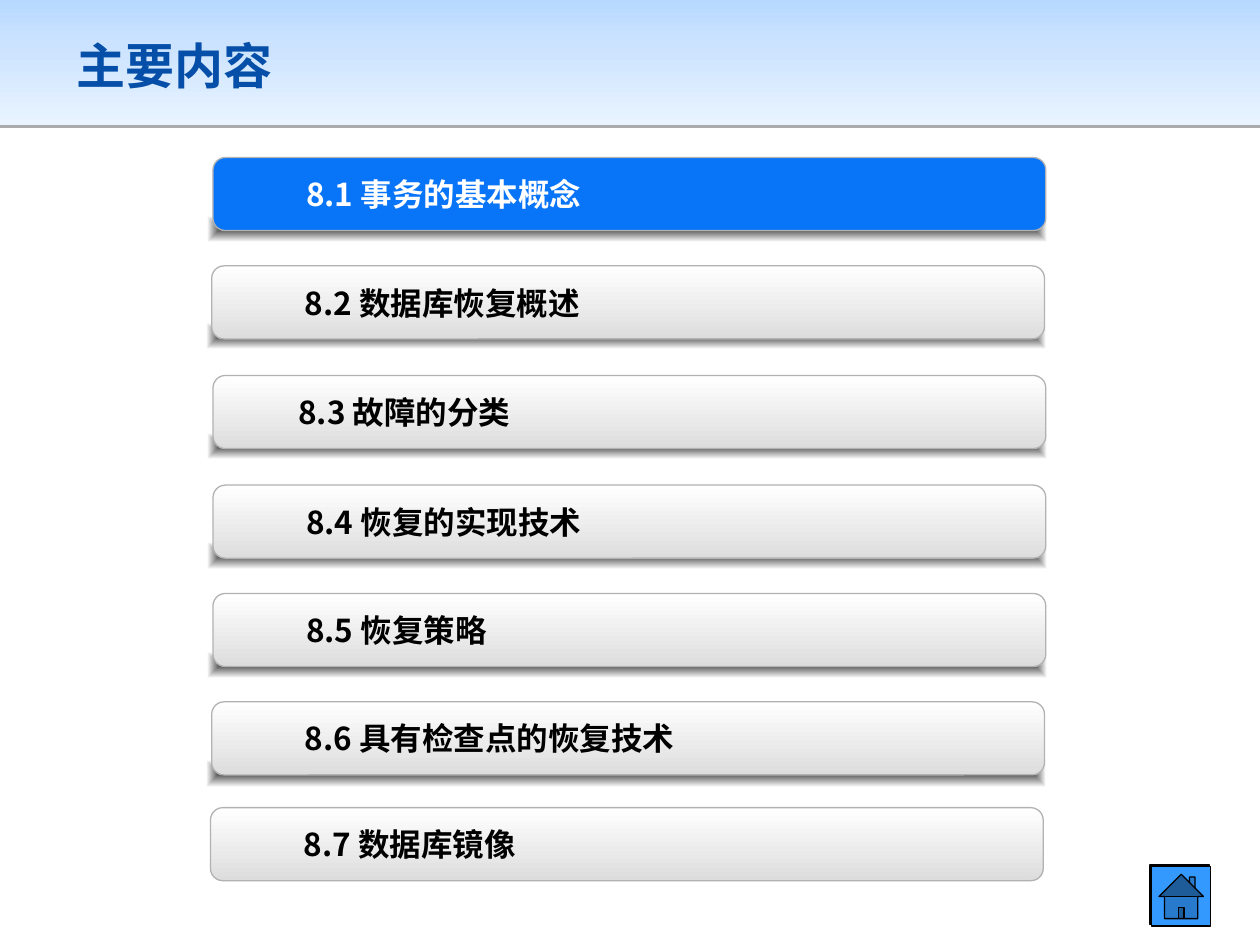
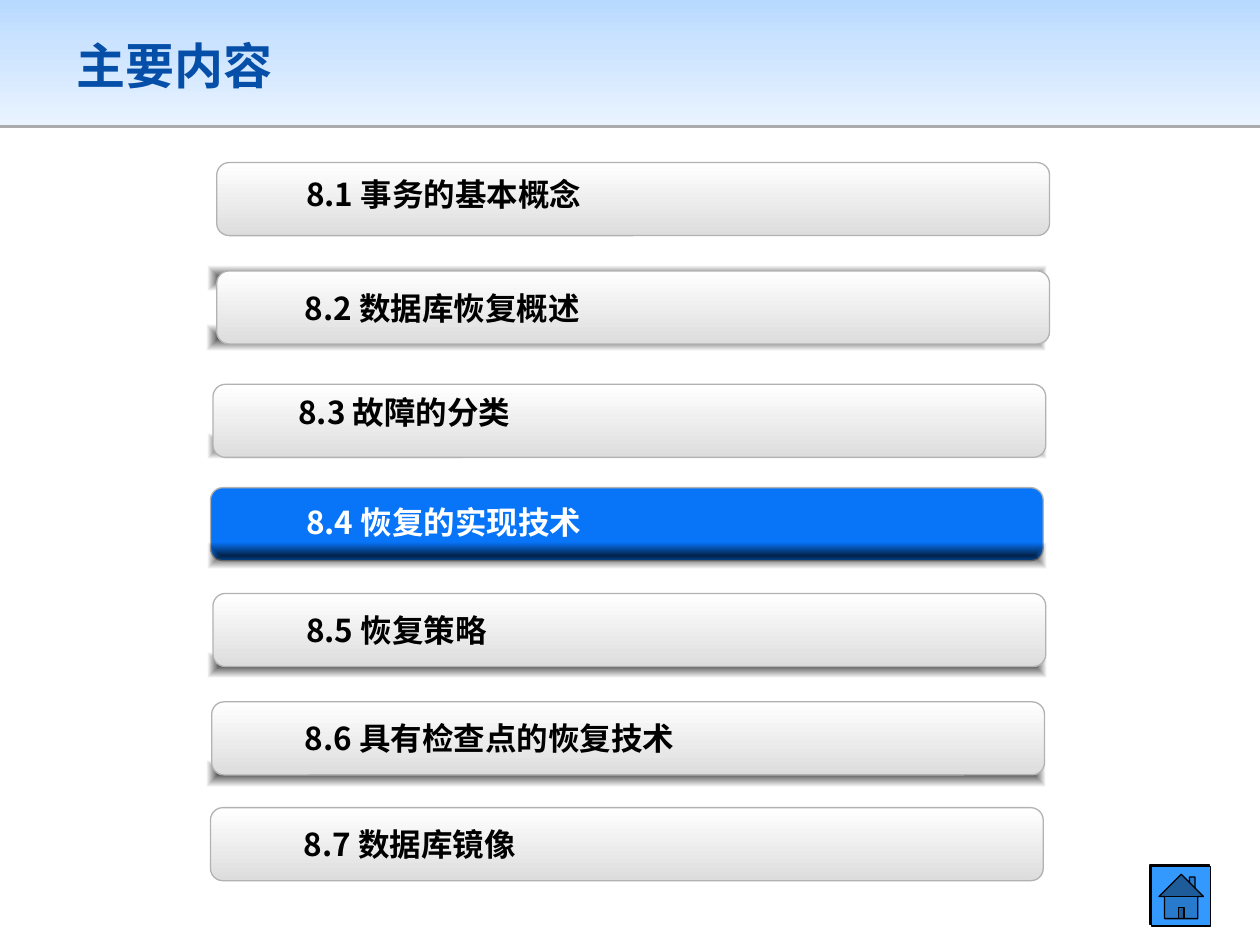
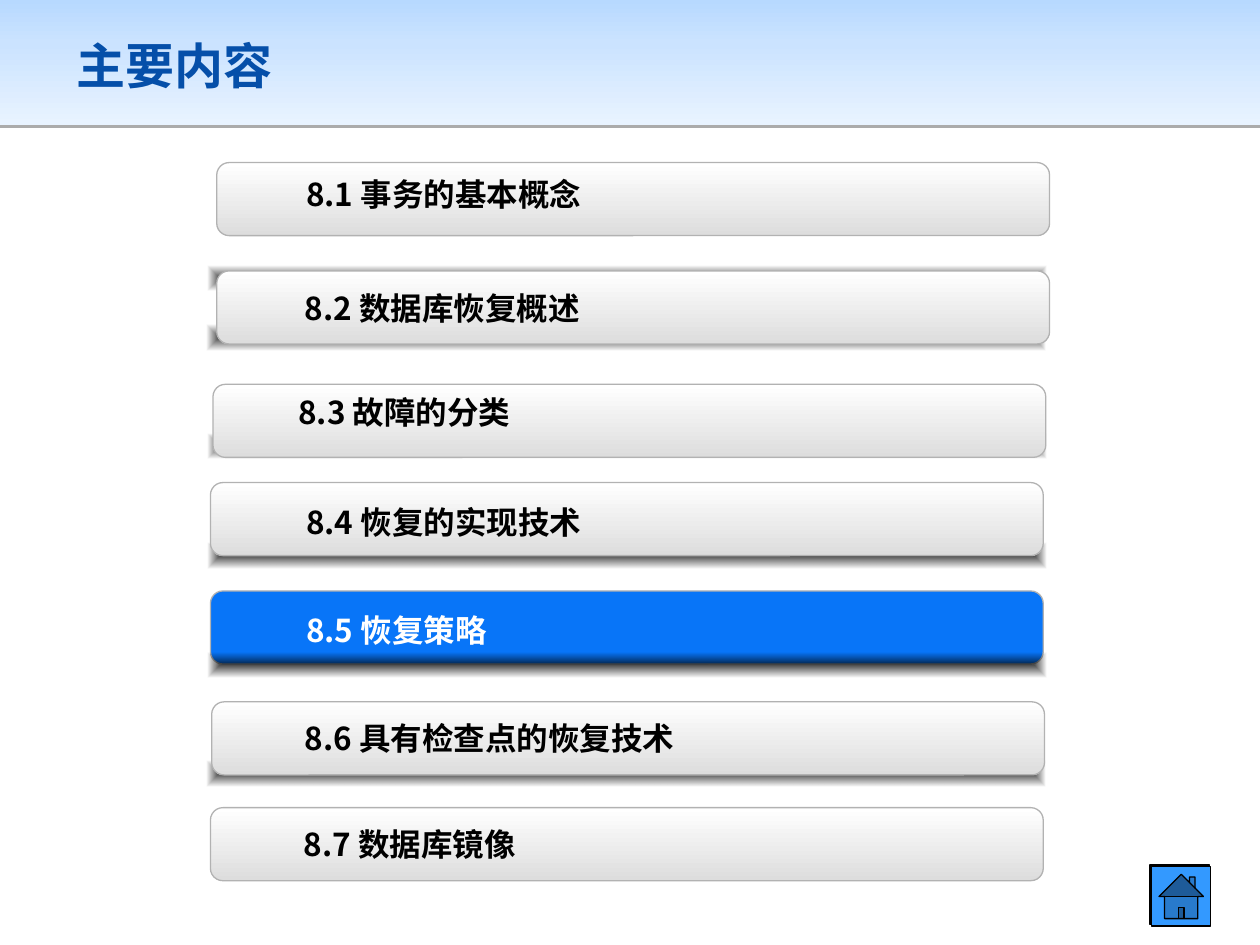
from dataclasses import dataclass

from pptx import Presentation
from pptx.dml.color import RGBColor as RGB
from pptx.enum.shapes import MSO_SHAPE as Geo
from pptx.enum.text import MSO_ANCHOR as Anchor, PP_ALIGN as Align
from pptx.oxml import parse_xml
from pptx.oxml.ns import nsdecls, qn
from pptx.util import Inches, Pt


@dataclass(frozen=True)
class Theme:
    title: str = "054FA9"
    active: str = "0875F8"
    outline: str = "B2B2B2"
    home: str = "3399FF"
    dark: str = "000000"
    light: str = "FFFFFF"
    band_stops: tuple = ((0, "B7D9FF", 100), (35, "CBE3FF", 100), (100, "E8F3FF", 100))
    bar_stops: tuple = ((0, "FFFFFF", 100), (100, "DDDDDD", 100))
    strip_stops: tuple = ((0, "000000", 70), (100, "000000", 0))
    title_font: str = "Arial"
    label_font: str = "Noto Sans CJK SC"
    title_size: int = 28
    label_size: int = 18
    line_width: float = 0.75


@dataclass(frozen=True)
class Section:
    text: str
    col: float
    row: float
    inset: float = 1.6


SECTIONS = [
    Section("8.1 事务的基本概念", 17.7, 12.5),
    Section("8.2 数据库恢复概述", 17.6, 21.1),
    Section("8.3 故障的分类", 17.7, 29.8, inset=1),
    Section("8.4 恢复的实现技术", 17.7, 38.5),
    Section("8.5 恢复策略", 17.7, 47.1),
    Section("8.6 具有检查点的恢复技术", 17.6, 55.7),
    Section("8.7 数据库镜像", 17.5, 64.1),
]
STRIP_ROWS = [17.2, 25.7, 34.4, 43.1, 51.8, 60.4]
SHIFTED_STRIPS = {0: 21.1, 1: 25.8}
SHIFTED_BARS = {0: (17.2, 12.9), 1: (17.2, 21.5), 2: (16.9, 30.5)}
SHIFTED_LABELS = {1: 21.5}
AGENDAS = [
    dict(active=0),
    dict(active=3, bars=SHIFTED_BARS | {3: (16.7, 38.7)},
         strips=SHIFTED_STRIPS, labels=SHIFTED_LABELS),
    dict(active=4, bars=SHIFTED_BARS | {3: (16.7, 38.3), 4: (16.7, 46.9)},
         strips=SHIFTED_STRIPS, labels=SHIFTED_LABELS),
]


class Deck:
    COLS, ROWS = 100, 75
    BAR_ROWS = 5.8

    def __init__(self, theme):
        self.theme = theme
        self.prs = Presentation()
        self.prs.slide_width, self.prs.slide_height = Inches(10), Inches(7.5)
        self.layout = self.prs.slide_layouts[5]
        self.slide = None

    def x(self, cols):
        return round(self.prs.slide_width * cols / self.COLS)

    def y(self, rows):
        return round(self.prs.slide_height * rows / self.ROWS)

    def box(self, col, row, cols, rows):
        return self.x(col), self.y(row), self.x(cols), self.y(rows)

    def new_slide(self):
        self.slide = self.prs.slides.add_slide(self.layout)

    def shape(self, geo, box, fill=None, line=None):
        sp = self.slide.shapes.add_shape(geo, *self.box(*box))
        sp.shadow.inherit = False
        if fill:
            sp.fill.solid()
            sp.fill.fore_color.rgb = RGB.from_string(fill)
        else:
            sp.fill.background()
        if line:
            sp.line.color.rgb = RGB.from_string(line)
            sp.line.width = Pt(self.theme.line_width)
        else:
            sp.line.fill.background()
        return sp

    def gradient(self, sp, stops, radial=False):
        gs = "".join(
            f'<a:gs pos="{pos * 1000}"><a:srgbClr val="{color}">'
            f'<a:alpha val="{alpha * 1000}"/></a:srgbClr></a:gs>'
            for pos, color, alpha in stops)
        course = '<a:lin ang="5400000" scaled="0"/>'
        if radial:
            course = ('<a:path path="shape"><a:fillToRect l="50000" t="50000" '
                      'r="50000" b="50000"/></a:path>')
        sp.fill.background()
        spPr = sp.element.spPr
        spPr.replace(spPr.find(qn("a:noFill")), parse_xml(
            f'<a:gradFill {nsdecls("a")} rotWithShape="1">'
            f'<a:gsLst>{gs}</a:gsLst>{course}</a:gradFill>'))

    def shadow(self, sp, alpha, dist, angle):
        sp.element.spPr.find(qn("a:effectLst")).append(parse_xml(
            f'<a:outerShdw {nsdecls("a")} dist="{Pt(dist)}" dir="{angle * 60000}" '
            f'algn="ctr" rotWithShape="0"><a:srgbClr val="{self.theme.dark}">'
            f'<a:alpha val="{alpha * 1000}"/></a:srgbClr></a:outerShdw>'))

    def style(self, p, font, size, color):
        p.alignment = Align.LEFT
        p.font.name, p.font.size, p.font.bold = font, Pt(size), True
        p.font.color.rgb = RGB.from_string(color)

    def band(self):
        sp = self.shape(Geo.RECTANGLE, (0, 0, self.COLS, 9.9))
        self.gradient(sp, self.theme.band_stops)
        self.shadow(sp, 33, 1.6, 90)
        self.layout.shapes.element.insert(2, sp.element)

    def title(self, text):
        sp = self.slide.shapes.title
        sp.left, sp.top, sp.width, sp.height = self.box(5.1, 1.6, 89.8, 7.1)
        tf = sp.text_frame
        tf.text, tf.vertical_anchor = text, Anchor.MIDDLE
        self.style(tf.paragraphs[0], self.theme.title_font,
                   self.theme.title_size, self.theme.title)

    def strip(self, col, row):
        sp = self.shape(Geo.RECTANGLE, (col, row, 66.6, 2))
        self.gradient(sp, self.theme.strip_stops, radial=True)

    def bar(self, col, row, active=False):
        sp = self.shape(Geo.ROUNDED_RECTANGLE, (col, row, 66.1, self.BAR_ROWS),
                        self.theme.active, self.theme.outline)
        sp.adjustments[0] = 0.17
        if not active:
            self.gradient(sp, self.theme.bar_stops)

    def label(self, section, row, active):
        sp = self.shape(Geo.ROUNDED_RECTANGLE, (section.col, row, 59.1, self.BAR_ROWS))
        sp.adjustments[0] = 0
        tf = sp.text_frame
        tf.word_wrap, tf.vertical_anchor = True, Anchor.MIDDLE
        tf.margin_left = self.x(section.inset)
        p = tf.paragraphs[0]
        p.text, p.level = section.text, 1
        p._p.get_or_add_pPr().set("marL", str(self.x(5)))
        self.style(p, self.theme.label_font, self.theme.label_size,
                   self.theme.light if active else self.theme.dark)

    def home_button(self):
        sp = self.shape(Geo.ACTION_BUTTON_HOME, (91.4, 68.8, 4.7, 4.7),
                        self.theme.home, self.theme.dark)
        self.shadow(sp, 100, 1.4, 225)

    def agenda(self, active, bars={}, strips={}, labels={}):
        places = [bars.get(i, (s.col - 0.8, s.row)) for i, s in enumerate(SECTIONS)]
        shades = [(s.col - 1.2, strips.get(i, row))
                  for i, (s, row) in enumerate(zip(SECTIONS, STRIP_ROWS))]
        self.strip(*shades[0])
        self.bar(*places[active], active=True)
        for shade in shades[1:]:
            self.strip(*shade)
        for i, place in enumerate(places):
            if i != active:
                self.bar(*place)
        for i, section in enumerate(SECTIONS):
            self.label(section, labels.get(i, section.row), i == active)


def main():
    deck = Deck(Theme())
    for i, agenda in enumerate(AGENDAS):
        deck.new_slide()
        if i == 0:
            deck.band()
        deck.title("主要内容")
        deck.agenda(**agenda)
        deck.home_button()
    deck.prs.save("out.pptx")


if __name__ == "__main__":
    main()
